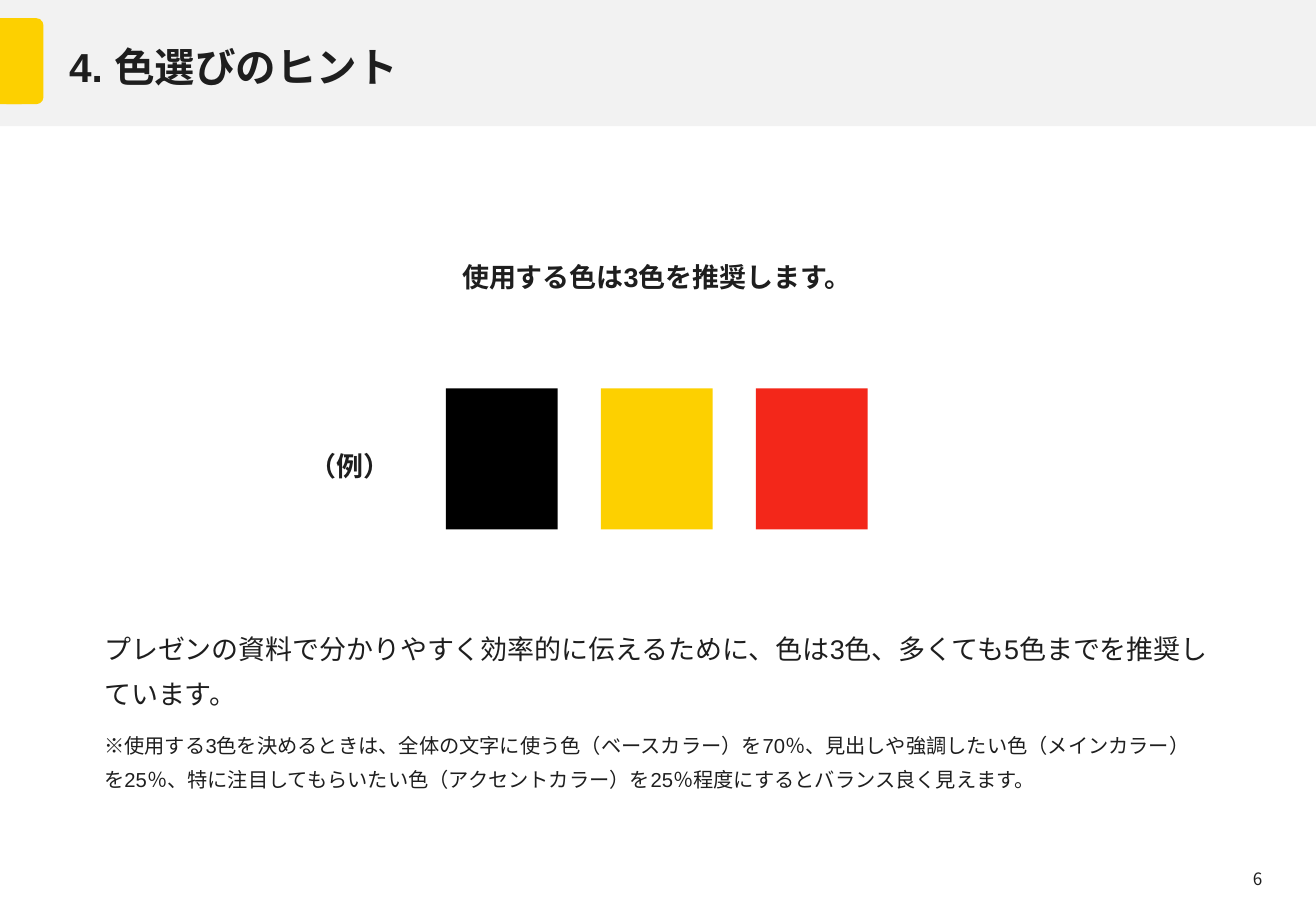
import dataclasses

import pptx
import pptx.dml.color
import pptx.enum.shapes
import pptx.enum.text
import pptx.oxml.ns
import pptx.util
from lxml import etree

Cm = pptx.util.Cm
ALIGN = pptx.enum.text.PP_ALIGN
ANCHOR = pptx.enum.text.MSO_ANCHOR
SHAPE = pptx.enum.shapes.MSO_SHAPE


@dataclasses.dataclass(frozen=True)
class Theme:
    ink: str = "1E1E1E"
    band: str = "F2F2F2"
    base: str = "000000"
    main: str = "FDD000"
    accent: str = "F3271A"
    latin: str = "Arial"
    asian: str = "Noto Sans CJK JP"
    title: float = 24
    body: float = 16
    note: float = 12
    number: float = 10.1


THEME = Theme()


def apply(target, formats):
    for name, value in formats.items():
        setattr(target, name, value)


def write(frame, lines, align=ALIGN.LEFT, spacing=0.9, bold=False,
          latin=THEME.latin, anchor=ANCHOR.TOP):
    apply(frame, {"word_wrap": True, "vertical_anchor": anchor,
                  "auto_size": pptx.enum.text.MSO_AUTO_SIZE.NONE})
    for index, (words, size) in enumerate(lines):
        para = frame.add_paragraph() if index else frame.paragraphs[0]
        apply(para, {"alignment": align, "line_spacing": spacing,
                     "space_before": pptx.util.Pt(8.1 if index else 0)})
        span = para.add_run()
        span.text = words
        apply(span.font, {"name": latin, "size": pptx.util.Pt(size), "bold": bold})
        span.font.color.rgb = pptx.dml.color.RGBColor.from_string(THEME.ink)
        asian = etree.Element(pptx.oxml.ns.qn("a:ea"), typeface=THEME.asian)
        span.font._element.find(pptx.oxml.ns.qn("a:latin")).addnext(asian)


def add_text(page, box, lines, **formats):
    frame = page.shapes.add_textbox(*map(Cm, box)).text_frame
    write(frame, lines, **formats)
    return frame


def add_block(page, kind, box, color):
    shape = page.shapes.add_shape(kind, *map(Cm, box))
    shape.shadow.inherit = False
    shape.fill.solid()
    shape.fill.fore_color.rgb = pptx.dml.color.RGBColor.from_string(color)
    shape.line.fill.background()


def add_header(page, box, words):
    left, top, width, height = box
    add_block(page, SHAPE.RECTANGLE, box, THEME.band)
    tab_top, tab_width, tab_height = top + 0.38, 0.91, 1.8
    add_block(page, SHAPE.ROUNDED_RECTANGLE,
              (left, tab_top, tab_width, tab_height), THEME.main)
    add_block(page, SHAPE.RECTANGLE,
              (left, tab_top, tab_width / 2, tab_height), THEME.main)
    title = page.shapes.title
    title.element.getparent().append(title.element)
    apply(title, {"left": Cm(left + 1.19), "top": Cm(top + 0.56),
                  "width": Cm(18.72), "height": Cm(1.8)})
    write(title.text_frame, [(words, THEME.title)], bold=True, anchor=ANCHOR.MIDDLE)


def add_palette(page, box):
    left, top, width, height = box
    add_text(page, (left, top + 1.24, 3.1, 1.85), [("（例）", THEME.body)],
             align=ALIGN.CENTER, bold=True)
    swatch_width, step = 2.34, 3.24
    start = left + width - swatch_width - 2 * step
    for index, color in enumerate((THEME.base, THEME.main, THEME.accent)):
        add_block(page, SHAPE.RECTANGLE,
                  (start + index * step, top, swatch_width, height), color)


def add_advice(page, box):
    add_text(page, box, [
        ("プレゼンの資料で分かりやすく効率的に伝えるために、色は3色、"
         "多くても5色までを推奨しています。", THEME.body),
        ("※使用する3色を決めるときは、全体の文字に使う色（ベースカラー）を70％、"
         "見出しや強調したい色（メインカラー）を25％、特に注目してもらいたい色"
         "（アクセントカラー）を25％程度にするとバランス良く見えます。", THEME.note),
    ], spacing=1.4)


def add_page_number(page, box, number):
    frame = add_text(page, box, [(str(number), THEME.number)], align=ALIGN.RIGHT,
                     spacing=1.0, latin=THEME.asian)
    frame.margin_right = Cm(0.61)


def add_hint_page(deck, box):
    left, top, width, height = box
    page = deck.slides.add_slide(deck.slide_layouts[5])
    add_header(page, (left, top, width, 2.64), "4. 色選びのヒント")
    margin = 1.93
    inner = width - 2 * margin - 0.05
    add_text(page, (left + margin, top + 5.41, inner, 1.85),
             [("使用する色は3色を推奨します。", THEME.body)],
             align=ALIGN.CENTER, bold=True)
    add_palette(page, (left + 5.77, top + 8.12, 12.37, 2.95))
    add_advice(page, (left + margin, top + 12.83, inner, 5))
    add_page_number(page, (left + width - 7.6, top + height - 1.02, 7.09, 1.02), 6)


def main():
    deck = pptx.Presentation()
    width, height = 27.51, 19.05
    apply(deck, {"slide_width": Cm(width), "slide_height": Cm(height)})
    add_hint_page(deck, (0, 0, width, height))
    deck.save("out.pptx")


if __name__ == "__main__":
    main()
